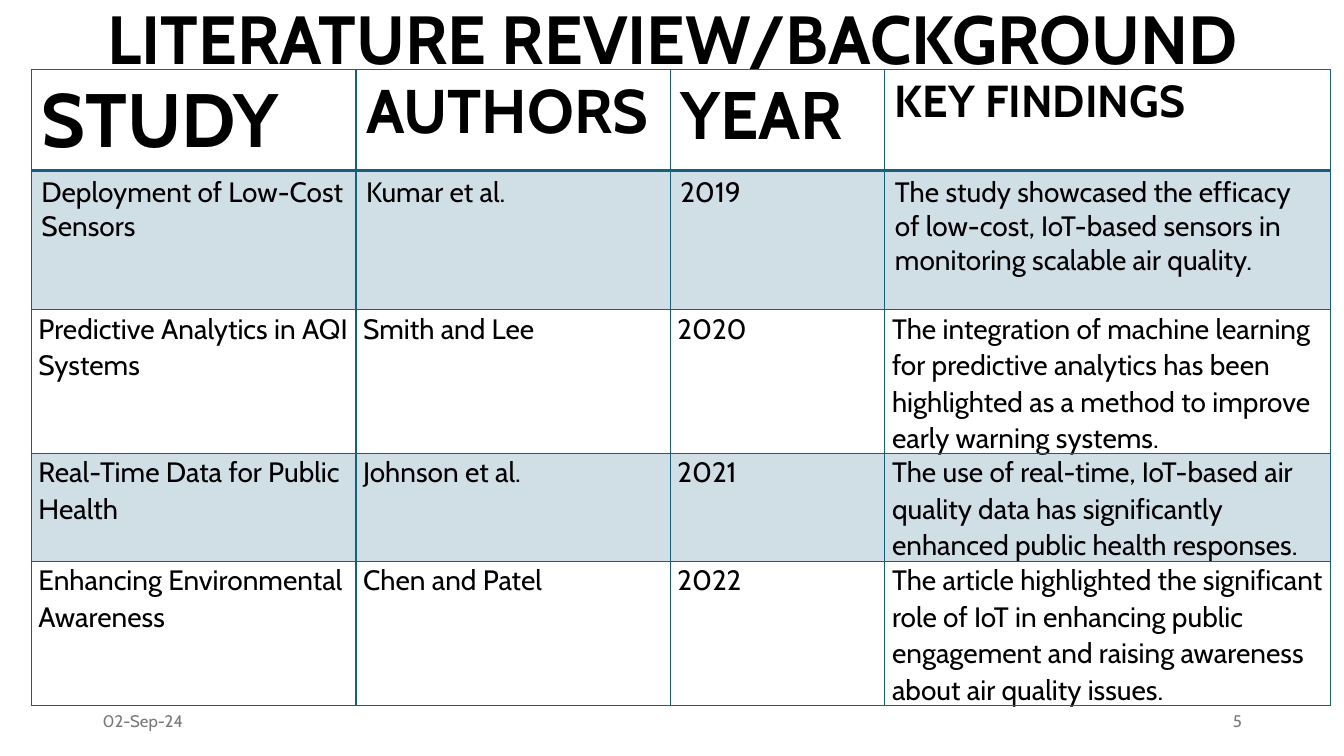
import pptx
import pptx.dml.color
import pptx.enum.text
import pptx.oxml
import pptx.oxml.ns
import pptx.util
from pptx.dml.color import RGBColor
from pptx.enum.text import MSO_ANCHOR, MSO_AUTO_SIZE, PP_ALIGN
from pptx.util import Cm, Pt

FONT = "Cabin"
BLACK = RGBColor(0x00, 0x00, 0x00)
GREY = RGBColor(0x79, 0x79, 0x79)
TEAL = RGBColor(0x15, 0x60, 0x82)
TINT_OPACITY = 20000  # thousandths of a percent

TITLE = "LITERATURE REVIEW/BACKGROUND"
HEADINGS = [("STUDY", 54), ("AUTHORS", 44), ("YEAR", 48), ("KEY FINDINGS", 32)]
STUDIES = [
    ("Deployment of Low-Cost Sensors", "Kumar et al.", "2019",
     "The study showcased the efficacy of low-cost, IoT-based sensors in "
     "monitoring scalable air quality."),
    ("Predictive Analytics in AQI Systems", "Smith and Lee", "2020",
     "The integration of machine learning for predictive analytics has been "
     "highlighted as a method to improve early warning systems."),
    ("Real-Time Data for Public Health", "Johnson et al.", "2021",
     "The use of real-time, IoT-based air quality data has significantly "
     "enhanced public health responses."),
    ("Enhancing Environmental Awareness", "Chen and Patel", "2022",
     "The article highlighted the significant role of IoT in enhancing public "
     "engagement and raising awareness about air quality issues."),
]
FOOTERS = [("02-Sep-24", 2.34, PP_ALIGN.LEFT), ("5", 23.93, PP_ALIGN.RIGHT)]
COLUMN_WIDTHS = [8.18, 7.92, 5.41, 11.23]
ROW_HEIGHTS = [2.54, 3.51, 3.58, 2.69, 3.58]


def style(paragraph, size, color=BLACK, bold=False):
    font = paragraph.font
    font.name, font.size, font.bold = FONT, Pt(size), bold
    font.color.rgb = color


def add_borders(cell, top, bottom):
    """Rule all four sides; top and bottom widths are in points."""
    properties = cell._tc.get_or_add_tcPr()
    for side, width in (("L", 1), ("R", 1), ("T", top), ("B", bottom)):
        properties.append(pptx.oxml.parse_xml(
            f'<a:ln{side} {pptx.oxml.ns.nsdecls("a")} w="{Pt(width)}">'
            f'<a:solidFill><a:srgbClr val="{TEAL}"/></a:solidFill></a:ln{side}>'))


def fill_cell(cell, tinted):
    if not tinted:
        cell.fill.background()
        return
    cell.fill.solid()
    cell.fill.fore_color.rgb = TEAL
    color = cell._tc.tcPr.find("a:solidFill/a:srgbClr", pptx.oxml.ns._nsmap)
    color.append(pptx.oxml.parse_xml(
        f'<a:alpha {pptx.oxml.ns.nsdecls("a")} val="{TINT_OPACITY}"/>'))


def add_title(slide):
    title = slide.shapes.title
    title.left, title.top = Cm(2.34), Cm(0.38)
    title.width, title.height = Cm(29.21), Cm(1.37)
    frame = title.text_frame
    frame.text = TITLE
    frame.auto_size = MSO_AUTO_SIZE.NONE
    frame.vertical_anchor = MSO_ANCHOR.MIDDLE
    heading = frame.paragraphs[0]
    heading.alignment, heading.line_spacing = PP_ALIGN.CENTER, 0.9
    style(heading, 48.6, bold=True)


def add_footers(slide):
    for text, left, alignment in FOOTERS:
        frame = slide.shapes.add_textbox(
            Cm(left), Cm(17.65), Cm(7.62), Cm(1.02)).text_frame
        frame.word_wrap = True
        frame.vertical_anchor = MSO_ANCHOR.MIDDLE
        frame.text = text
        frame.paragraphs[0].alignment = alignment
        style(frame.paragraphs[0], 12, GREY)


def add_studies(slide):
    table = slide.shapes.add_table(
        len(ROW_HEIGHTS), len(COLUMN_WIDTHS), Cm(0.79), Cm(1.75),
        Cm(sum(COLUMN_WIDTHS)), Cm(sum(ROW_HEIGHTS))).table
    table.first_row = table.horz_banding = False
    for column, width in zip(table.columns, COLUMN_WIDTHS):
        column.width = Cm(width)
    for row, height in zip(table.rows, ROW_HEIGHTS):
        row.height = Cm(height)

    rows = [HEADINGS] + [[(text, 20) for text in study] for study in STUDIES]
    for r, row in enumerate(rows):
        for c, (text, size) in enumerate(row):
            cell = table.cell(r, c)
            cell.text = text
            paragraph = cell.text_frame.paragraphs[0]
            if r >= 2:
                cell.margin_left = cell.margin_right = Cm(0.18)
                cell.margin_top = cell.margin_bottom = 0
                paragraph.line_spacing = 1.07
            style(paragraph, size, bold=r == 0)
            add_borders(cell, top=2 if r == 1 else 1, bottom=2 if r == 0 else 1)
            fill_cell(cell, tinted=r % 2 == 1)


def main():
    deck = pptx.Presentation()
    deck.slide_width, deck.slide_height = Cm(33.87), Cm(19.05)
    slide = deck.slides.add_slide(deck.slide_layouts[5])
    add_title(slide)
    add_footers(slide)
    add_studies(slide)
    deck.save("out.pptx")


if __name__ == "__main__":
    main()
